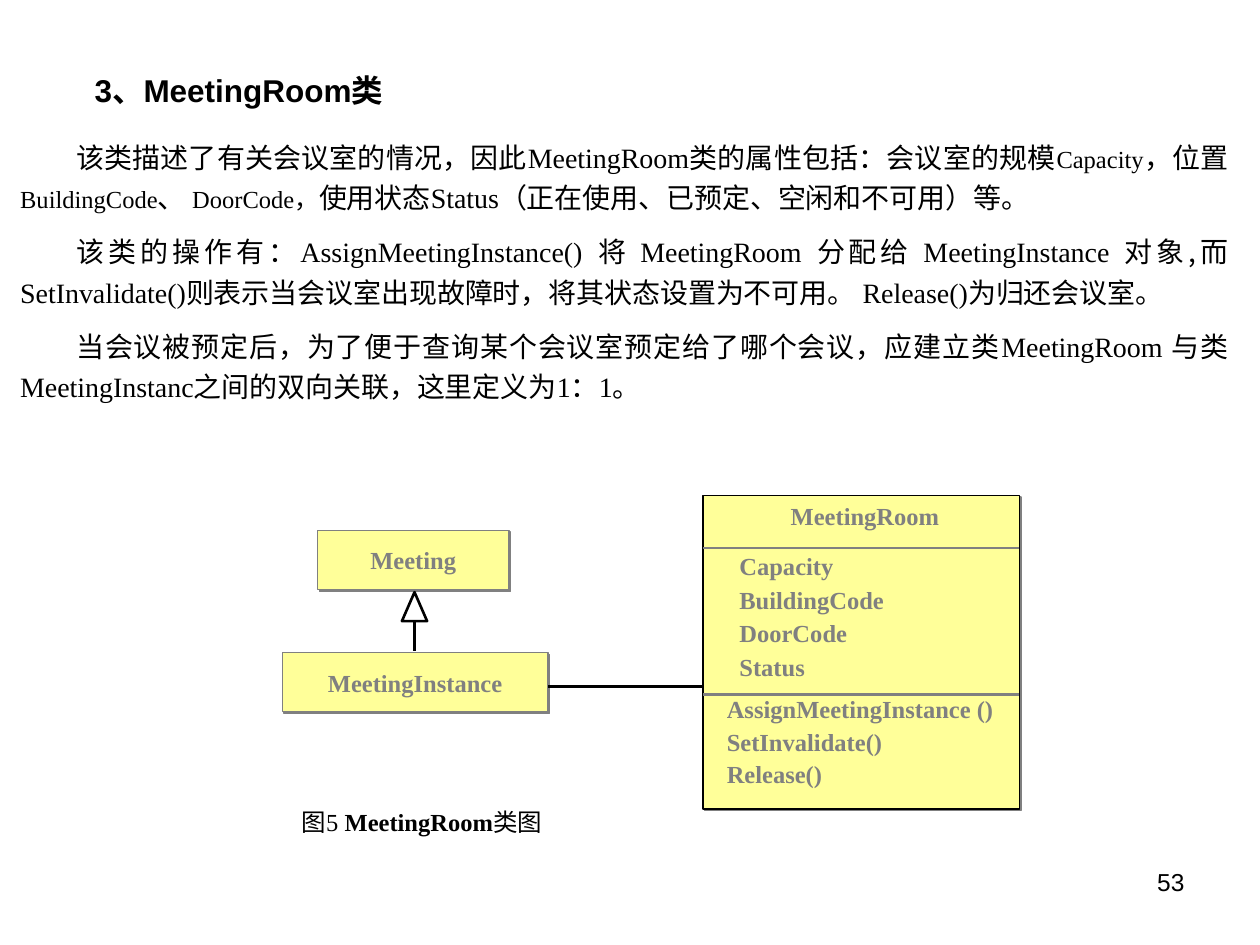
from dataclasses import dataclass

from lxml.etree import SubElement
from pptx import Presentation
from pptx.dml.color import RGBColor
from pptx.enum.shapes import MSO_CONNECTOR, MSO_SHAPE
from pptx.enum.text import MSO_ANCHOR, MSO_AUTO_SIZE, PP_ALIGN
from pptx.oxml.ns import qn
from pptx.util import Inches, Pt

SLIDE_WIDTH, SLIDE_HEIGHT = Inches(10), Inches(7.5)
COLUMN, ROW = SLIDE_WIDTH / 100, SLIDE_HEIGHT / 75


@dataclass(frozen=True)
class Theme:
    ink: str = "000000"
    grey: str = "808080"
    yellow: str = "FFFF99"
    serif: str = "Times New Roman"
    sans: str = "Arial"
    chinese: str = "Noto Sans CJK SC"
    title: int = 18
    body: int = 16
    small: int = 14
    thin: float = 0.75
    thick: float = 1.5


THEME = Theme()
CLASS_TEXT = {"color": THEME.grey, "bold": True}
SMALL = {"size": THEME.small}
BODY = {"size": THEME.body}

BODY_PARAGRAPHS = [
    [
        ("该类描述了有关会议室的情况，因此MeetingRoom类的属性包括：会议室的规模", BODY),
        ("Capacity", SMALL),
        ("，位置", BODY),
        ("BuildingCode", SMALL),
        ("、 ", BODY),
        ("DoorCode，", SMALL),
        ("使用状态Status（正在使用、已预定、空闲和不可用）等。", BODY),
    ],
    [
        ("该类的操作有：AssignMeetingInstance() 将 MeetingRoom 分配给 MeetingInstance 对象", BODY),
        (",而", {**BODY, "name": THEME.chinese}),
        ("SetInvalidate()则表示当会议室出现故障时，将其状态设置为不可用。 Release()为归还会议室。", BODY),
    ],
    [
        ("当会议被预定后，为了便于查询某个会议室预定给了哪个会议，应建立类MeetingRoom 与类"
         "MeetingInstanc之间的双向关联，这里定义为1：1。", BODY),
    ],
]


def apply_formats(target, formats):
    for name, value in formats.items():
        setattr(target, name, value)


def place(shape, left, top, width, height):
    apply_formats(shape, {
        "left": round(left * COLUMN), "top": round(top * ROW),
        "width": round(width * COLUMN), "height": round(height * ROW),
    })


def add_run(paragraph, text, size=THEME.small, name=THEME.serif, color=THEME.ink, bold=False):
    run = paragraph.add_run()
    run.text = text
    apply_formats(run.font, {"size": Pt(size), "name": name, "bold": bold})
    run.font.color.rgb = RGBColor.from_string(color)


def write_paragraphs(shape, paragraphs, formats, anchor=MSO_ANCHOR.TOP, wrap=True):
    frame = shape.text_frame
    apply_formats(frame, {
        "word_wrap": wrap, "auto_size": MSO_AUTO_SIZE.NONE, "vertical_anchor": anchor,
        "margin_left": Inches(0.1), "margin_right": Inches(0.1),
        "margin_top": Inches(0.05), "margin_bottom": Inches(0.05),
    })
    for index, runs in enumerate(paragraphs):
        paragraph = frame.add_paragraph() if index else frame.paragraphs[0]
        apply_formats(paragraph, formats)
        for text, style in runs:
            add_run(paragraph, text, **style)


def add_text(shapes, area, paragraphs, formats):
    text_box = shapes.add_textbox(0, 0, 0, 0)
    place(text_box, *area)
    write_paragraphs(text_box, paragraphs, formats)


def set_line(shape, color, width):
    shape.line.color.rgb = RGBColor.from_string(color)
    shape.line.width = Pt(width)


def add_line(shapes, start, end, color):
    ends = [round(value * unit) for point in (start, end) for value, unit in zip(point, (COLUMN, ROW))]
    connector = shapes.add_connector(MSO_CONNECTOR.STRAIGHT, *ends)
    set_line(connector, color, THEME.thick)
    SubElement(connector._element.spPr, qn("a:effectLst"))


def add_shadow(shape):
    effects = shape._element.spPr.find(qn("a:effectLst"))
    shadow = SubElement(effects, qn("a:outerShdw"), dist=str(Pt(1.4)), dir="2700000", algn="ctr", rotWithShape="0")
    SubElement(shadow, qn("a:srgbClr"), val=THEME.grey)


def add_class_box(shapes, area, border, name=None):
    box = shapes.add_shape(MSO_SHAPE.RECTANGLE, 0, 0, 0, 0)
    place(box, *area)
    box.fill.solid()
    box.fill.fore_color.rgb = RGBColor.from_string(THEME.yellow)
    set_line(box, border, THEME.thin)
    box.shadow.inherit = False
    add_shadow(box)
    if name:
        write_paragraphs(box, [[(name, CLASS_TEXT)]], {"alignment": PP_ALIGN.CENTER}, MSO_ANCHOR.MIDDLE, False)


def add_inheritance_arrow(shapes, center, tip, base, end):
    triangle = shapes.add_shape(MSO_SHAPE.ISOSCELES_TRIANGLE, 0, 0, 0, 0)
    place(triangle, center - 1, tip, 2, base - tip)
    triangle.fill.background()
    set_line(triangle, THEME.ink, THEME.thick)
    triangle.shadow.inherit = False
    add_line(shapes, (center, base), (center, end), THEME.ink)


def add_room_class(shapes, left, top, width, height):
    add_class_box(shapes, (left, top, width, height), THEME.ink)
    members = {"space_after": Pt(2.6)}
    compartments = [
        ((57.7, top, 21.9, 3.4), ["MeetingRoom"], {"alignment": PP_ALIGN.CENTER, "space_before": Pt(8.8)}),
        ((57.7, 43.2, 20.6, 11.5), ["Capacity", "BuildingCode", "DoorCode", "Status"], members),
        ((56.7, 54.8, 24.4, 8.4), ["AssignMeetingInstance ()", "SetInvalidate()", "Release()"],
         {**members, "line_spacing": 0.95}),
    ]
    for area, names, formats in compartments:
        add_text(shapes, area, [[(name, CLASS_TEXT)] for name in names], formats)
    for divider in (43.5, 55.1):
        add_line(shapes, (left, divider), (left + width, divider), THEME.grey)


def add_diagram(slide):
    shapes = slide.shapes.add_group_shape().shapes
    add_room_class(shapes, 55.8, 39.3, 25.1, 24.9)
    add_class_box(shapes, (22.4, 51.8, 21.1, 4.7), THEME.grey, "MeetingInstance")
    add_class_box(shapes, (25.2, 42.1, 15.2, 4.7), THEME.grey, "Meeting")
    add_inheritance_arrow(shapes, 32.9, 47, 49.3, 51.7)
    add_line(shapes, (43.5, 54.5), (55.8, 54.5), THEME.ink)


def fill_title(slide):
    title = slide.shapes.title
    place(title, 6.5, 4.6, 85, 5)
    style = {"size": THEME.title, "name": THEME.sans, "bold": True}
    write_paragraphs(title, [[("3、MeetingRoom类", style)]], {"alignment": PP_ALIGN.LEFT}, MSO_ANCHOR.MIDDLE)


def fill_body(slide):
    body = slide.placeholders[1]
    place(body, 0.6, 10.1, 97.9, 22.4)
    formats = {"alignment": PP_ALIGN.JUSTIFY, "line_spacing": 1.2, "space_before": Pt(8)}
    write_paragraphs(body, BODY_PARAGRAPHS, formats)
    for paragraph in body.text_frame.paragraphs:
        properties = paragraph._p.get_or_add_pPr()
        properties.set("marL", "0")
        properties.set("indent", str(Pt(2 * THEME.body)))
        SubElement(properties, qn("a:buNone"))


def main():
    presentation = Presentation()
    apply_formats(presentation, {"slide_width": SLIDE_WIDTH, "slide_height": SLIDE_HEIGHT})
    slide = presentation.slides.add_slide(presentation.slide_layouts[1])
    fill_title(slide)
    fill_body(slide)
    add_diagram(slide)
    caption = [("图5 ", {}), ("MeetingRoom", {"bold": True}), ("类图", {})]
    add_text(slide.shapes, (11, 63.6, 45, 3.4), [caption],
             {"alignment": PP_ALIGN.CENTER, "space_before": Pt(8.8)})
    add_text(slide.shapes, (71.7, 68.3, 23.3, 5.2), [[("53", {"name": THEME.sans})]],
             {"alignment": PP_ALIGN.RIGHT})
    presentation.save("out.pptx")


if __name__ == "__main__":
    main()
